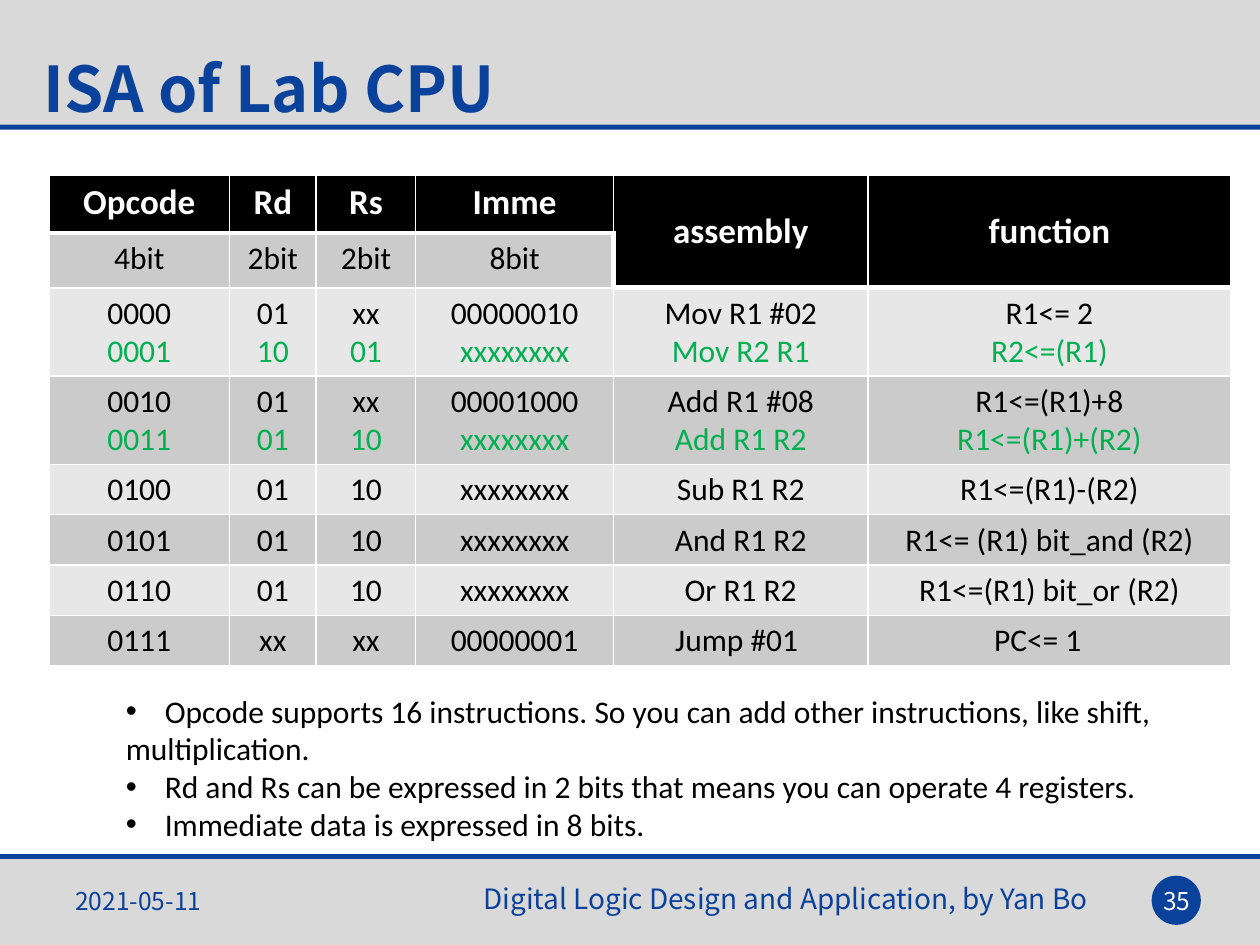
"""Build the slide that lists the instruction set of the lab CPU."""
from lxml.etree import SubElement
from pptx import Presentation
from pptx.dml.color import RGBColor
from pptx.enum.shapes import MSO_SHAPE
from pptx.enum.text import MSO_ANCHOR, PP_ALIGN
from pptx.oxml import parse_xml
from pptx.oxml.ns import nsdecls, qn
from pptx.util import Inches, Pt

BLUE = RGBColor(0x0A, 0x41, 0x9B)
GREY = RGBColor(0xD9, 0xD9, 0xD9)
BLACK = RGBColor(0, 0, 0)
WHITE = RGBColor(0xFF, 0xFF, 0xFF)
GREEN = RGBColor(0x00, 0xB0, 0x50)
LIGHT_ROW = RGBColor(0xE7, 0xE7, 0xE7)
DARK_ROW = RGBColor(0xCB, 0xCB, 0xCB)
HEADING_FONT, BODY_FONT = "Noto Sans CJK SC", "Calibri"

BACKDROP = [
    (MSO_SHAPE.RECTANGLE, (0, 6.82, 10, 0.68), GREY),
    (MSO_SHAPE.RECTANGLE, (0, 0, 10, 0.99), GREY),
    (MSO_SHAPE.OVAL, (9.14, 6.95, 0.39, 0.39), BLUE),
    (MSO_SHAPE.RECTANGLE, (0, 0.99, 10, 0.04), BLUE),
    (MSO_SHAPE.RECTANGLE, (0, 6.78, 10, 0.04), BLUE),
]
LABELS = [
    ("Digital Logic Design and Application, by Yan Bo", (3.74, 6.95, 5.28, 0.55),
     MSO_ANCHOR.TOP, PP_ALIGN.LEFT, {"size": Pt(16)}, BLUE),
    ("ISA of Lab CPU", (0.25, 0.11, 5.54, 1.17),
     MSO_ANCHOR.MIDDLE, PP_ALIGN.LEFT, {"size": Pt(36), "bold": True}, BLUE),
    ("2021-05-11", (0.5, 6.95, 2.33, 0.4),
     MSO_ANCHOR.MIDDLE, PP_ALIGN.LEFT, {"size": Pt(14)}, BLUE),
    ("35", (9.1, 6.95, 0.48, 0.4),
     MSO_ANCHOR.MIDDLE, PP_ALIGN.CENTER, {"size": Pt(14)}, WHITE),
]
NOTES = [
    ("Opcode supports 16 instructions. So you can add other instructions, like shift,", True),
    ("multiplication.", False),
    ("Rd and Rs can be expressed in 2 bits that means you can operate 4 registers.", True),
    ("Immediate data is expressed in 8 bits.", True),
]
COLUMN_WIDTHS = [1.43, 0.69, 0.79, 1.57, 2.02, 2.88]
ROW_HEIGHTS = [0.46, 0.4, 0.7, 0.7, 0.4, 0.4, 0.4, 0.4]
INSTRUCTIONS = [
    ["Opcode", "Rd", "Rs", "Imme", "assembly", "function"],
    ["4bit", "2bit", "2bit", "8bit", "", ""],
    ["0000\n0001", "01\n10", "xx\n01", "00000010\nxxxxxxxx",
     "Mov R1 #02\nMov R2 R1", "R1<= 2\nR2<=(R1)"],
    ["0010\n0011", "01\n01", "xx\n10", "00001000\nxxxxxxxx",
     "Add R1 #08\nAdd R1 R2", "R1<=(R1)+8\nR1<=(R1)+(R2)"],
    ["0100", "01", "10", "xxxxxxxx", "Sub R1 R2", "R1<=(R1)-(R2)"],
    ["0101", "01", "10", "xxxxxxxx", "And R1 R2", "R1<= (R1) bit_and (R2)"],
    ["0110", "01", "10", "xxxxxxxx", "Or R1 R2", "R1<=(R1) bit_or (R2)"],
    ["0111", "xx", "xx", "00000001", "Jump #01", "PC<= 1"],
]
MERGED_COLUMNS = (4, 5)
LEFT_ALIGNED = {(7, 4): 0.49, (7, 5): 1.0}


def place(bounds):
    return [Inches(value) for value in bounds]


def add_span(para, text, color, **formats):
    span = para.add_run()
    span.text = text
    span.font.color.rgb = color
    for name, value in formats.items():
        setattr(span.font, name, value)


def add_backdrop(page):
    for kind, bounds, color in BACKDROP:
        shape = page.shapes.add_shape(kind, *place(bounds))
        shape.shadow.inherit = False
        shape.fill.solid()
        shape.fill.fore_color.rgb = color
        shape.line.fill.background()


def add_labels(page):
    for text, bounds, anchor, alignment, formats, color in LABELS:
        frame = page.shapes.add_textbox(*place(bounds)).text_frame
        frame.word_wrap = True
        frame.vertical_anchor = anchor
        para = frame.paragraphs[0]
        para.alignment = alignment
        add_span(para, text, color, name=HEADING_FONT, **formats)


def add_notes(page):
    frame = page.shapes.add_textbox(*place((0.9, 5.44, 8.44, 1.31))).text_frame
    frame.word_wrap = False
    for index, (text, bulleted) in enumerate(NOTES):
        para = frame.add_paragraph() if index else frame.paragraphs[0]
        add_span(para, text, BLACK, name=BODY_FONT, size=Pt(18))
        if bulleted:
            properties = para._p.get_or_add_pPr()
            properties.set("marL", str(Inches(0.31)))
            properties.set("indent", str(-Inches(0.31)))
            SubElement(properties, qn("a:buFont"), typeface="Arial")
            SubElement(properties, qn("a:buChar"), char="•")


def set_borders(cell, row, column):
    header_end = 1 if column in MERGED_COLUMNS else 0
    thick = {
        "R": (row, column) == (1, 3),
        "T": row == header_end + 1,
        "B": row == header_end,
    }
    properties = cell._tc.get_or_add_tcPr()
    for position, side in enumerate("LRTB"):
        width = Pt(3 if thick.get(side) else 1)
        properties.insert(position, parse_xml(
            f'<a:ln{side} {nsdecls("a")} w="{width}"><a:solidFill>'
            f'<a:srgbClr val="{WHITE}"/></a:solidFill></a:ln{side}>'))


def fill_cell(cell, row, column, text):
    header = row == 0 or (row == 1 and column in MERGED_COLUMNS)
    cell.fill.solid()
    cell.fill.fore_color.rgb = BLACK if header else DARK_ROW if row % 2 else LIGHT_ROW
    set_borders(cell, row, column)
    indent = LEFT_ALIGNED.get((row, column))
    if indent:
        cell.margin_left = Inches(indent)
    for index, line in enumerate(text.split("\n") if text else []):
        frame = cell.text_frame
        para = frame.add_paragraph() if index else frame.paragraphs[0]
        para.alignment = PP_ALIGN.LEFT if indent else PP_ALIGN.CENTER
        color = WHITE if header else GREEN if index else BLACK
        add_span(para, line, color, name=BODY_FONT, size=Pt(20 if header else 18), bold=header)


def add_instruction_table(page):
    bounds = (0.39, 1.39, sum(COLUMN_WIDTHS), sum(ROW_HEIGHTS))
    table = page.shapes.add_table(
        len(ROW_HEIGHTS), len(COLUMN_WIDTHS), *place(bounds)).table
    for column, width in zip(table.columns, COLUMN_WIDTHS):
        column.width = Inches(width)
    for row, height in zip(table.rows, ROW_HEIGHTS):
        row.height = Inches(height)
    for row, texts in enumerate(INSTRUCTIONS):
        for column, text in enumerate(texts):
            fill_cell(table.cell(row, column), row, column, text)
    for column in MERGED_COLUMNS:
        top = table.cell(0, column)
        top.merge(table.cell(1, column))
        top.vertical_anchor = MSO_ANCHOR.MIDDLE


def main():
    deck = Presentation()
    deck.slide_width, deck.slide_height = Inches(10), Inches(7.5)
    page = deck.slides.add_slide(deck.slide_layouts[6])
    add_backdrop(page)
    add_labels(page)
    add_notes(page)
    add_instruction_table(page)
    deck.save("out.pptx")


if __name__ == "__main__":
    main()
